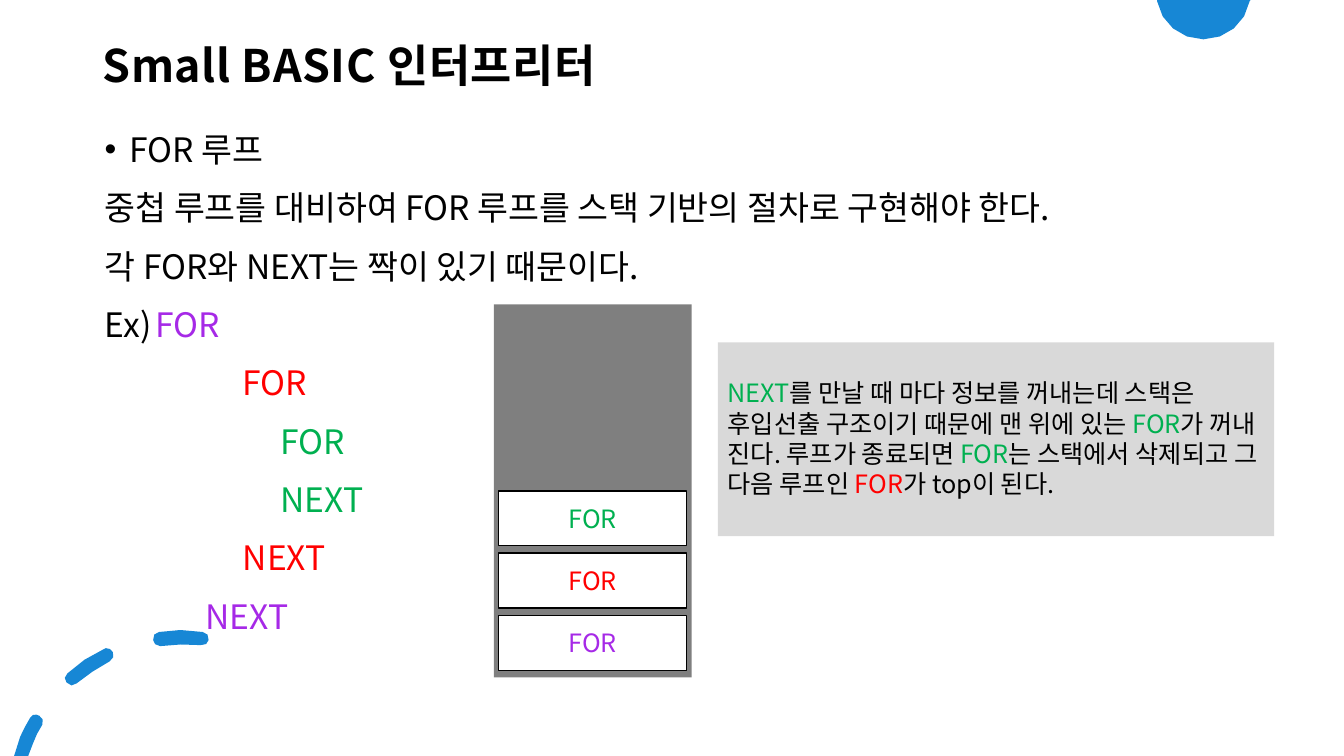
"""Build the slide on nested FOR loops and their stack in a Small BASIC interpreter."""
from lxml import etree
from pptx import Presentation, util as u
from pptx.dml.color import RGBColor
from pptx.enum import shapes, text
from pptx.oxml.ns import qn

FONT = "Noto Sans CJK KR"
BLACK, PURPLE, RED, GREEN, BLUE = "000000", "A629E7", "FF0000", "00B050", "1787D5"


def paint(target, color):
    """Give a fill or a line one solid colour."""
    target.solid()
    target.fore_color.rgb = RGBColor.from_string(color)


def write(para, pieces, size, bold=False):
    """Add coloured runs to a paragraph."""
    for words, color in pieces:
        span = para.add_run()
        span.text = words
        span.font.size, span.font.bold, span.font.name = u.Pt(size), bold, FONT
        paint(span.font.fill, color)
        properties = span.font._element
        etree.SubElement(properties, qn("a:ea")).set("typeface", FONT)
        if bold:
            properties.set("spc", "40")
        else:
            properties.set("kern", "0")


deck = Presentation()
deck.slide_width, deck.slide_height = u.Cm(33.87), u.Cm(19.05)
page = deck.slides.add_slide(deck.slide_layouts[6])

# Outlines in inches: pairs are corners, sixes are Bézier curves.
circle = [(11.48, 0), (12.41, 0), (12.4, .01), (12.36, .23, 12.17, .39, 11.94, .39),
          (11.71, .39, 11.52, .23, 11.48, .01)]
low_dash = [(.36, 7.09), (.34, 7.08, .31, 7.1, .3, 7.12), (.26, 7.18, .23, 7.25, .2, 7.31),
            (.14, 7.5), (.28, 7.5), (.33, 7.37), (.35, 7.31, .38, 7.25, .42, 7.19),
            (.44, 7.16, .42, 7.11, .39, 7.1)]
middle_dash = [(1.05, 6.43), (1.03, 6.44), (.9, 6.5, .77, 6.58, .67, 6.68),
               (.64, 6.7, .63, 6.75, .66, 6.77), (.71, 6.8), (.76, 6.78),
               (.86, 6.7, .97, 6.62, 1.09, 6.56), (1.12, 6.54, 1.14, 6.5, 1.12, 6.47),
               (1.11, 6.44, 1.08, 6.43, 1.05, 6.43)]
high_dash = [(1.79, 6.25), (1.58, 6.27), (1.54, 6.27, 1.51, 6.31, 1.52, 6.35),
             (1.52, 6.38, 1.55, 6.41, 1.59, 6.41), (1.73, 6.39, 1.86, 6.39, 1.99, 6.4),
             (2.03, 6.41, 2.07, 6.38, 2.07, 6.35), (2.08, 6.31, 2.05, 6.27, 2.01, 6.27)]
for contours, steps in (([circle], 4), ([low_dash, middle_dash, high_dash], 2)):
    builder = None
    for contour in contours:
        points = [contour[0]]
        for part in contour[1:]:
            if len(part) == 2:
                points.append(part)
                continue
            controls = [points[-1], part[:2], part[2:4], part[4:]]
            for step in range(1, steps + 1):
                t = step / steps
                weights = ((1 - t) ** 3, 3 * t * (1 - t) ** 2, 3 * t * t * (1 - t), t ** 3)
                points.append(tuple(sum(w * c[axis] for w, c in zip(weights, controls))
                                    for axis in (0, 1)))
        points = [(x * 1000, y * 1000) for x, y in points]
        if builder is None:
            builder = page.shapes.build_freeform(*points[0], scale=u.Cm(2.54) / 1000)
        else:
            builder.move_to(*points[0])
        builder.add_line_segments(points[1:], close=True)
    ornament = builder.convert_to_shape()
    ornament.shadow.inherit = False
    paint(ornament.fill, BLUE)
    ornament.line.fill.background()

title = page.shapes.add_textbox(u.Cm(2.29), u.Cm(1.07), u.Cm(29.21), u.Cm(0.99))
body = page.shapes.add_textbox(u.Cm(2.34), u.Cm(2.85), u.Cm(29.26), u.Cm(15.39))
for box in (title, body):
    frame = box.text_frame
    frame.word_wrap = True
    frame.margin_left = frame.margin_top = frame.margin_right = u.Cm(0.3)
    frame.margin_bottom = u.Cm(0.25)
title.text_frame.vertical_anchor = text.MSO_ANCHOR.MIDDLE
heading = title.text_frame.paragraphs[0]
heading.line_spacing = 1.05
write(heading, [("Small BASIC 인터프리터", BLACK)], 32, bold=True)

body_lines = [
    (0, [("FOR 루프", BLACK)]),
    (0, [("중첩 루프를 대비하여 FOR 루프를 스택 기반의 절차로 구현해야 한다.", BLACK)]),
    (0, [("각 FOR와 NEXT는 짝이 있기 때문이다.", BLACK)]),
    (0, [("Ex)", BLACK), ("\tFOR", PURPLE)]),
    (3.48, [("FOR", RED)]),
    (4.43, [("FOR", GREEN)]),
    (4.43, [("NEXT", GREEN)]),
    (3.48, [("NEXT", RED)]),
    (2.54, [("NEXT", PURPLE)]),
]
for number, (indent, pieces) in enumerate(body_lines):
    para = body.text_frame.add_paragraph() if number else body.text_frame.paragraphs[0]
    para.line_spacing, para.space_before = 1.1, u.Pt(10)
    write(para, pieces, 24)
    layout = para._p.get_or_add_pPr()
    layout.set("marL", str(u.Cm(indent)))
    layout.set("indent", "0")
    if number == 0:
        layout.set("marL", str(u.Cm(0.63)))
        layout.set("indent", str(-u.Cm(0.63)))
        etree.SubElement(layout, qn("a:buFont")).set("typeface", "Arial")
        etree.SubElement(layout, qn("a:buChar")).set("char", "•")
    elif len(pieces) == 2:
        stop = etree.SubElement(etree.SubElement(layout, qn("a:tabLst")), qn("a:tab"))
        stop.set("pos", str(u.Cm(2.54)))
        stop.set("algn", "l")

panels = [(12.45, 7.67, 4.98, 9.4, BLACK, [])]
for level, color in enumerate((PURPLE, RED, GREEN)):
    panels.append((12.57, 15.51 - 1.57 * level, 4.74, 1.38, "FFFFFF", [("FOR", color)]))
panels.append((18.09, 8.63, 14.02, 4.88, "D9D9D9", [
    ("NEXT", GREEN),
    ("를 만날 때 마다 정보를 꺼내는데 스택은 후입선출 구조이기 때문에 맨 위에 있는 ", BLACK),
    ("FOR", GREEN), ("가 꺼내 진다. 루프가 종료되면 ", BLACK),
    ("FOR", GREEN), ("는 스택에서 삭제되고 그 다음 루프인 ", BLACK),
    ("FOR", RED), ("가 top이 된다.", BLACK)]))
for left, top, width, height, color, pieces in panels:
    panel = page.shapes.add_shape(shapes.MSO_SHAPE.RECTANGLE,
                                  u.Cm(left), u.Cm(top), u.Cm(width), u.Cm(height))
    panel.shadow.inherit = False
    paint(panel.fill, color)
    panel.line.fill.background()
    frame = panel.text_frame
    frame.word_wrap = True
    para = frame.paragraphs[0]
    write(para, pieces, 18)
    if color == BLACK:
        shade = panel._element.spPr.find(qn("a:solidFill"))[0]
        etree.SubElement(shade, qn("a:alpha")).set("val", "50000")
    elif len(pieces) == 1:
        paint(panel.line.fill, BLACK)
        panel.line.width = u.Pt(1)
        para.alignment = text.PP_ALIGN.CENTER
    else:
        frame.vertical_anchor = text.MSO_ANCHOR.TOP
        frame.margin_top = u.Cm(0.89)
        para.alignment = text.PP_ALIGN.LEFT

deck.save("out.pptx")
